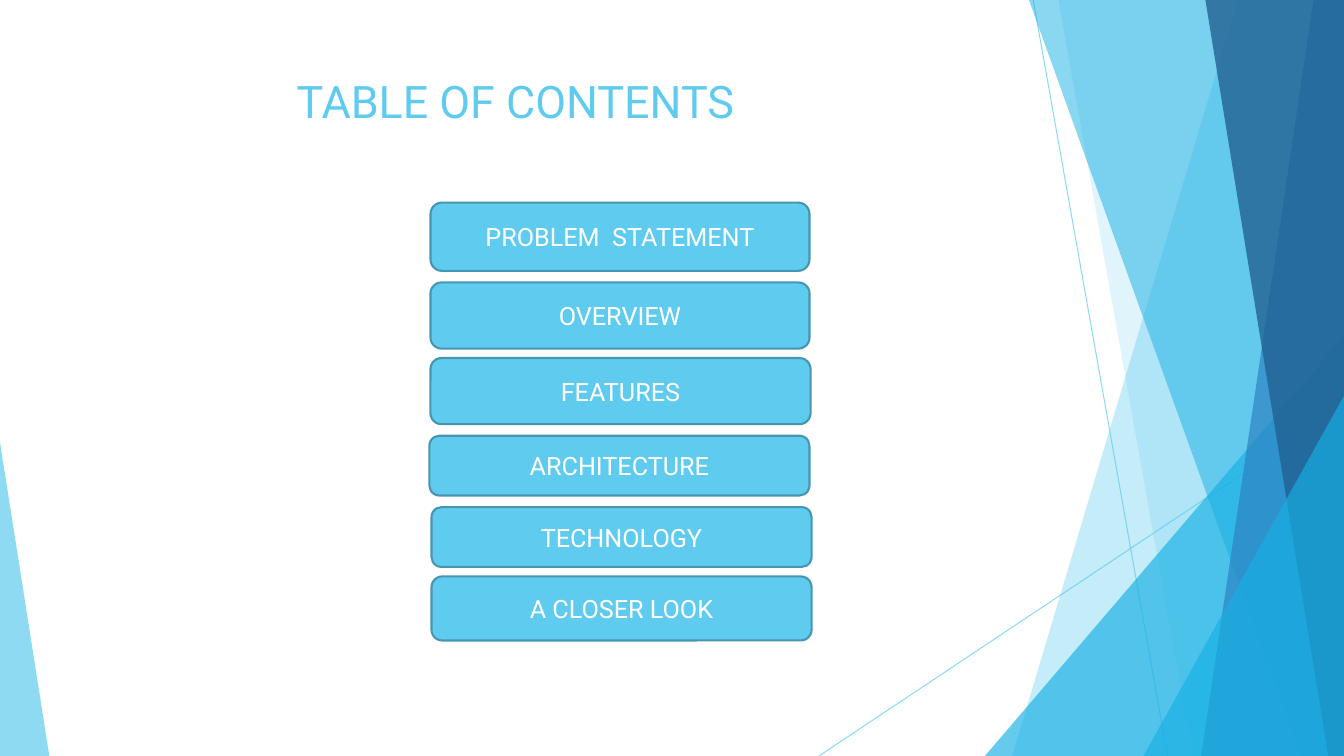
"""Builds a contents slide: six stacked buttons framed by translucent blue facets."""
import lxml.etree
import pptx
import pptx.dml.color
import pptx.enum.shapes
import pptx.enum.text
import pptx.oxml.ns
import pptx.util

PX = 9525
WIDE, HIGH = 1280, 720
THEME = {
    "font": "Roboto", "title": 32, "label": 18,
    "sky": "5FCBEF", "cyan": "17B0E4", "blue": "2E83C3", "navy": "226292",
    "edge": "4696B1", "white": "FFFFFF",
}
KINDS = pptx.enum.shapes.MSO_SHAPE
ALIGN = pptx.enum.text.PP_ALIGN
ANCHOR = pptx.enum.text.MSO_ANCHOR


def px(*sizes):
    return [size * PX for size in sizes]


def tint(name):
    return pptx.dml.color.RGBColor.from_string(THEME[name])


def apply(target, values):
    for key, value in values.items():
        setattr(target, key, value)


def fade(item, percent):
    tag = pptx.oxml.ns.qn
    color = next(item.element.spPr.iter(tag("a:srgbClr")))
    lxml.etree.SubElement(color, tag("a:alpha"), val=str(percent * 1000))


def paint(shape, color):
    shape.shadow.inherit = False
    shape.fill.solid()
    shape.fill.fore_color.rgb = tint(color)


def facet(shape, color, percent):
    paint(shape, color)
    fade(shape, percent)
    shape.line.fill.background()


def ribbon(slide, top, foot, color, percent):
    maker = slide.shapes.build_freeform(top, 0, scale=PX)
    maker.add_line_segments([(WIDE, 0), (WIDE, HIGH), (foot, HIGH)], close=True)
    facet(maker.convert_to_shape(), color, percent)


def wedge(slide, left, top, width, apex, color, percent):
    box = px(left, top, width, HIGH - top)
    shape = slide.shapes.add_shape(KINDS.ISOSCELES_TRIANGLE, *box)
    shape.adjustments[0] = apex
    facet(shape, color, percent)


def ray(slide, *ends):
    kind = pptx.enum.shapes.MSO_CONNECTOR.STRAIGHT
    line = slide.shapes.add_connector(kind, *px(*ends))
    line.line.color.rgb = tint("sky")
    line.line.width = pptx.util.Pt(0.75)
    fade(line, 70)
    lxml.etree.SubElement(line.element.spPr, pptx.oxml.ns.qn("a:effectLst"))


def write(shape, text, size, color, align, anchor):
    frame = shape.text_frame
    apply(frame, {"word_wrap": True, "vertical_anchor": anchor})
    para = frame.paragraphs[0]
    apply(para, {"text": text, "alignment": align})
    apply(para.runs[0].font, {"name": THEME["font"], "size": pptx.util.Pt(THEME[size])})
    para.runs[0].font.color.rgb = tint(color)


def button(slide, text, left, top, width, height):
    box = px(left, top, width, height)
    shape = slide.shapes.add_shape(KINDS.ROUNDED_RECTANGLE, *box)
    paint(shape, "sky")
    shape.line.color.rgb = tint("edge")
    shape.line.width = pptx.util.Pt(1.5)
    write(shape, text, "label", "white", ALIGN.CENTER, ANCHOR.MIDDLE)


def main():
    deck = pptx.Presentation()
    apply(deck, {"slide_width": WIDE * PX, "slide_height": HIGH * PX})
    slide = deck.slides.add_slide(deck.slide_layouts[6])

    ray(slide, 984, 0, 1112, HIGH)
    ray(slide, WIDE, 387, 780, HIGH)
    ribbon(slide, 1179, 964, "sky", 36)
    ribbon(slide, 1008, 1136, "sky", 20)
    wedge(slide, 938, 320, 342, 1, "cyan", 66)
    ribbon(slide, 980, 1239, "cyan", 50)
    ribbon(slide, 1251, 1144, "blue", 70)
    ribbon(slide, 1148, 1265, "navy", 80)
    wedge(slide, 1089, 377, 191, 1, "cyan", 66)
    wedge(slide, 0, 421, 47, 0, "sky", 70)

    title = slide.shapes.add_textbox(*px(273, 65, 936, 81))
    write(title, "TABLE OF CONTENTS", "title", "sky", ALIGN.LEFT, ANCHOR.TOP)
    for entry in (
        ("PROBLEM  STATEMENT", 410, 193, 361, 65),
        ("OVERVIEW", 410, 269, 361, 63),
        ("FEATURES", 410, 341, 362, 63),
        ("ARCHITECTURE", 409, 415, 362, 57),
        ("TECHNOLOGY", 411, 483, 362, 57),
        ("A CLOSER LOOK", 411, 549, 362, 61),
    ):
        button(slide, *entry)
    deck.save("out.pptx")


if __name__ == "__main__":
    main()
